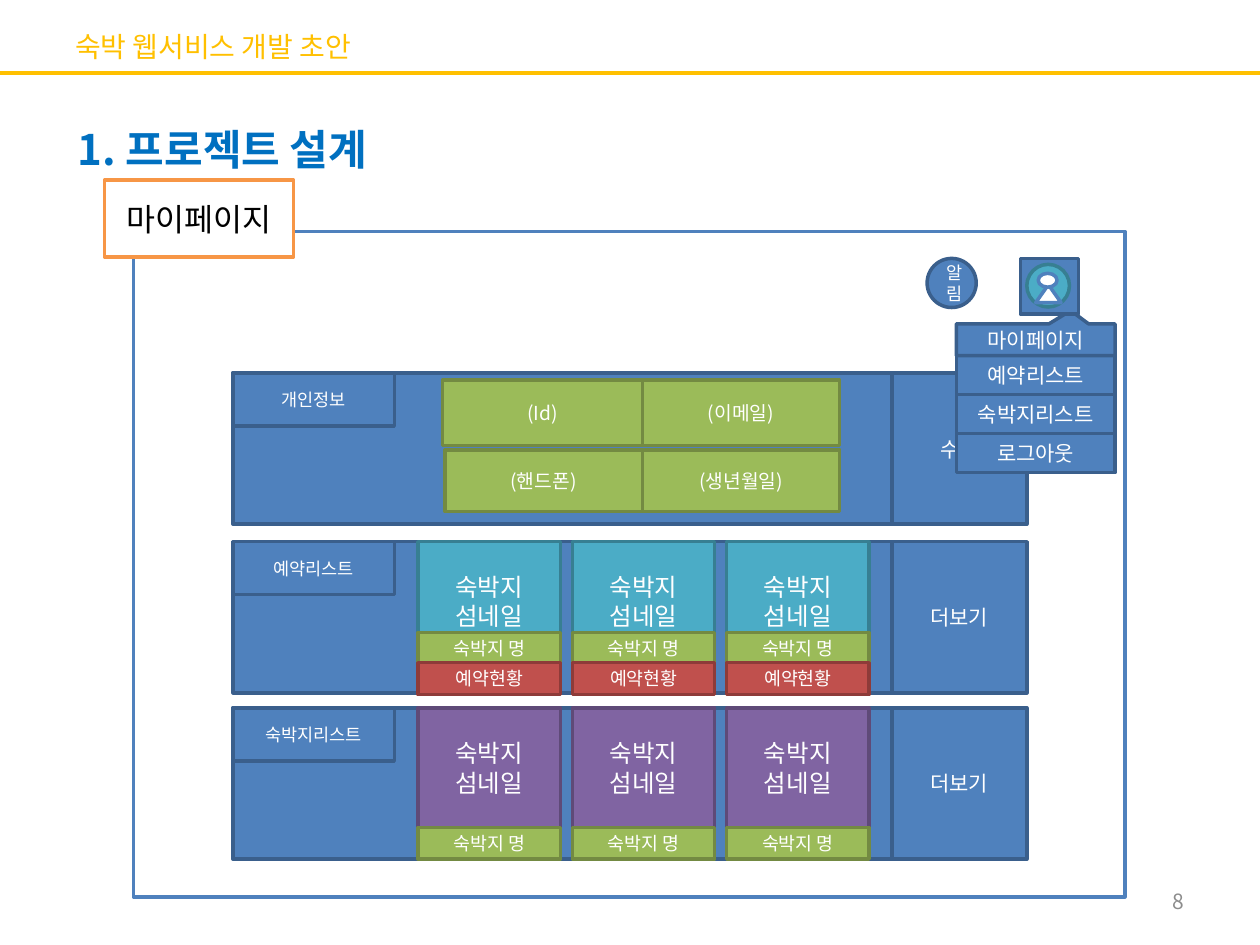
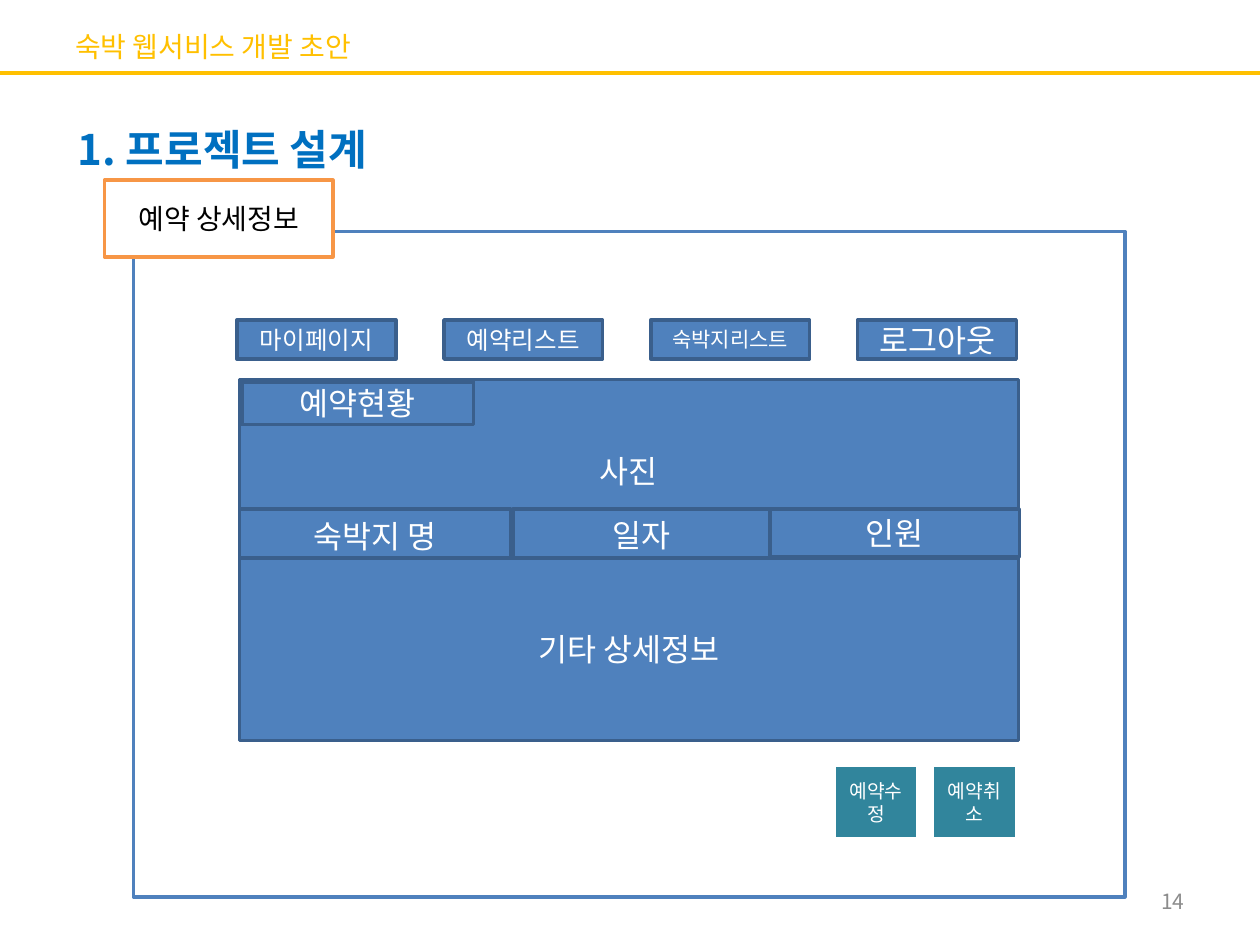
import dataclasses
import typing

import pptx
import pptx.dml.color
import pptx.enum.shapes
import pptx.enum.text
import pptx.oxml.ns
import pptx.slide
import pptx.util
from lxml import etree

Cm = pptx.util.Cm
RGB = pptx.dml.color.RGBColor
Kind = pptx.enum.shapes.MSO_SHAPE
Align = pptx.enum.text.PP_ALIGN
qn = pptx.oxml.ns.qn

FONT = "Noto Sans CJK KR"
WHITE = RGB(0xFF, 0xFF, 0xFF)
BLACK = RGB(0x00, 0x00, 0x00)
GOLD = RGB(0xFF, 0xC0, 0x00)
AZURE = RGB(0x00, 0x70, 0xC0)
GRAY = RGB(0x8C, 0x8C, 0x8C)
BLUE = RGB(0x4F, 0x81, 0xBD)
NAVY = RGB(0x3A, 0x5F, 0x8C)
GREEN = RGB(0x9B, 0xBB, 0x59)
MOSS = RGB(0x73, 0x8A, 0x42)
AQUA = RGB(0x4B, 0xAC, 0xC6)
TEAL = RGB(0x37, 0x7F, 0x92)
DEEP = RGB(0x31, 0x85, 0x9C)
PURPLE = RGB(0x80, 0x64, 0xA2)
PLUM = RGB(0x5F, 0x4A, 0x78)
RED = RGB(0xC0, 0x50, 0x4D)
MAROON = RGB(0x8E, 0x3B, 0x39)
ORANGE = RGB(0xF7, 0x96, 0x46)


@dataclasses.dataclass(frozen=True)
class Skin:
    fill: RGB
    line: RGB
    ink: RGB = WHITE


PANEL = Skin(BLUE, NAVY)
FIELD = Skin(GREEN, MOSS)
STAY = Skin(AQUA, TEAL)
LODGE = Skin(PURPLE, PLUM)
STATE = Skin(RED, MAROON)
ACTION = Skin(DEEP, WHITE)
LABEL = Skin(WHITE, ORANGE, BLACK)
PAPER = Skin(WHITE, BLUE)


@dataclasses.dataclass(frozen=True)
class Box:
    left: float
    top: float
    width: float
    height: float
    text: str = ""
    size: float = 12
    skin: Skin = PANEL
    kind: Kind = Kind.RECTANGLE
    tweaks: tuple[float, ...] = ()


@dataclasses.dataclass(frozen=True)
class Row:
    top: float
    tag: str
    side: str


ROWS = [
    Row(7.52, "개인정보", "수정"),
    Row(10.92, "예약리스트", "더보기"),
    Row(14.27, "숙박지리스트", "더보기"),
]
FIELDS = [
    Box(8.92, 7.66, 4.03, 1.32, "(Id)", 11, FIELD),
    Box(8.97, 9.07, 3.98, 1.24, "(핸드폰)", 11, FIELD),
    Box(12.95, 7.66, 3.98, 1.32, "(이메일)", 11, FIELD),
    Box(12.95, 9.07, 3.98, 1.24, "(생년월일)", 11, FIELD),
]
MENU = ["예약리스트", "숙박지리스트", "로그아웃"]
ICONS = [
    Box(20.57, 5.21, 1.17, 1.12),
    Box(20.7, 5.33, 0.86, 0.86, skin=STAY, kind=Kind.OVAL),
    Box(20.88, 5.74, 0.51, 0.36, skin=PAPER, kind=Kind.ISOSCELES_TRIANGLE),
    Box(20.93, 5.51, 0.38, 0.28, skin=PAPER, kind=Kind.OVAL),
]
TABS = [("마이페이지", 14), ("예약리스트", 14), ("숙박지리스트", 12), ("로그아웃", 18)]
DETAIL = [
    Box(4.83, 7.65, 15.7, 3.68, "사진", 18),
    Box(10.34, 10.26, 5.18, 1.04, "일자", 18),
    Box(15.52, 10.26, 5.03, 0.97, "인원", 18),
    Box(4.83, 10.26, 5.46, 1.07, "숙박지 명", 18),
    Box(4.83, 11.25, 15.7, 3.68, "기타 상세정보", 18),
    Box(4.88, 7.7, 4.67, 0.86, "예약현황", 18),
]


def write(frame: typing.Any, text: str, size: float, ink: RGB,
          align: Align, bold: bool = False) -> None:
    frame.vertical_anchor = pptx.enum.text.MSO_ANCHOR.MIDDLE
    para = frame.paragraphs[0]
    para.text = text
    para.alignment = align
    font = para.font
    font.name = FONT
    font.size = pptx.util.Pt(size)
    font.bold = bold
    font.color.rgb = ink
    latin = para._p.pPr.find(f"{qn('a:defRPr')}/{qn('a:latin')}")
    east = etree.Element(qn("a:ea"))
    east.set("typeface", FONT)
    latin.addnext(east)


def draw(slide: pptx.slide.Slide, box: Box) -> None:
    shape = slide.shapes.add_shape(
        box.kind, Cm(box.left), Cm(box.top), Cm(box.width), Cm(box.height))
    shape.shadow.inherit = False
    shape.fill.solid()
    shape.fill.fore_color.rgb = box.skin.fill
    shape.line.color.rgb = box.skin.line
    shape.line.width = pptx.util.Pt(2)
    for spot, tweak in enumerate(box.tweaks):
        shape.adjustments[spot] = tweak
    if box.text:
        write(shape.text_frame, box.text, box.size, box.skin.ink, Align.CENTER)


def note(slide: pptx.slide.Slide, box: Box, ink: RGB, align: Align = Align.LEFT,
         bold: bool = False, wrap: bool = True) -> None:
    area = slide.shapes.add_textbox(
        Cm(box.left), Cm(box.top), Cm(box.width), Cm(box.height))
    area.text_frame.word_wrap = wrap
    write(area.text_frame, box.text, box.size, ink, align, bold)


def start(deck: typing.Any, label: str, width: float, size: float,
          number: int) -> pptx.slide.Slide:
    slide = deck.slides.add_slide(deck.slide_layouts[6])
    rule = slide.shapes.add_connector(
        pptx.enum.shapes.MSO_CONNECTOR.STRAIGHT,
        Cm(0), Cm(1.47), deck.slide_width, Cm(1.47))
    rule.line.color.rgb = GOLD
    rule.line.width = pptx.util.Pt(2.25)
    etree.SubElement(rule._element.spPr, qn("a:effectLst"))
    draw(slide, Box(2.69, 4.67, 19.99, 13.41, skin=PAPER))
    note(slide, Box(1.27, 0.33, 22.86, 1.19, "숙박 웹서비스 개발 초안", 16), GOLD)
    note(slide, Box(1.32, 2.36, 6.96, 1.27, "1. 프로젝트 설계", 24), AZURE,
         bold=True, wrap=False)
    note(slide, Box(18.21, 17.65, 5.92, 1.02, str(number)), GRAY, Align.RIGHT)
    draw(slide, Box(2.11, 3.63, width, 1.55, label, size, LABEL))
    return slide


def cards(slide: pptx.slide.Slide, top: float, skin: Skin, drop: float) -> None:
    for col in range(3):
        left = 8.43 + 3.11 * col
        draw(slide, Box(left, top, 2.87, 2.41, "숙박지 섬네일", 14, skin))
        draw(slide, Box(left, top + drop, 2.87, 0.64, "숙박지 명", 10.5, FIELD))
        if skin is STAY:
            draw(slide, Box(left, top + 2.44, 2.87, 0.64, "예약현황", 10.5, STATE))


def my_page(deck: typing.Any) -> None:
    slide = start(deck, "마이페이지", 3.81, 18, 8)
    for row in ROWS:
        draw(slide, Box(4.7, row.top, 13.28, 3.05))
        draw(slide, Box(17.98, row.top, 2.72, 3.05, row.side))
        draw(slide, Box(4.7, row.top, 3.25, 1.07, row.tag, 10))
    cards(slide, ROWS[1].top, STAY, 1.83)
    cards(slide, ROWS[2].top, LODGE, 2.41)
    for field in FIELDS:
        draw(slide, field)
    draw(slide, Box(18.69, 5.21, 0.99, 0.99, "알림", 10, kind=Kind.OVAL))
    for step, item in enumerate(MENU):
        draw(slide, Box(19.28, 7.16 + 0.79 * step, 3.2, 0.79, item))
    draw(slide, Box(19.28, 6.53, 3.2, 0.64, "마이페이지",
                    kind=Kind.RECTANGULAR_CALLOUT, tweaks=(0.22, -0.92)))
    for icon in ICONS:
        draw(slide, icon)


def booking(deck: typing.Any) -> None:
    slide = start(deck, "예약 상세정보", 4.6, 16, 14)
    for step, (text, size) in enumerate(TABS):
        draw(slide, Box(4.78 + 4.17 * step, 6.45, 3.2, 0.79, text, size))
    for step, text in enumerate(["예약수정", "예약취소"]):
        draw(slide, Box(16.81 + 1.98 * step, 15.42, 1.7, 1.5, text, 11, ACTION))
    for part in DETAIL:
        draw(slide, part)


def main() -> None:
    deck = pptx.Presentation()
    deck.slide_width = Cm(25.4)
    deck.slide_height = Cm(19.05)
    my_page(deck)
    booking(deck)
    deck.save("out.pptx")


if __name__ == "__main__":
    main()
